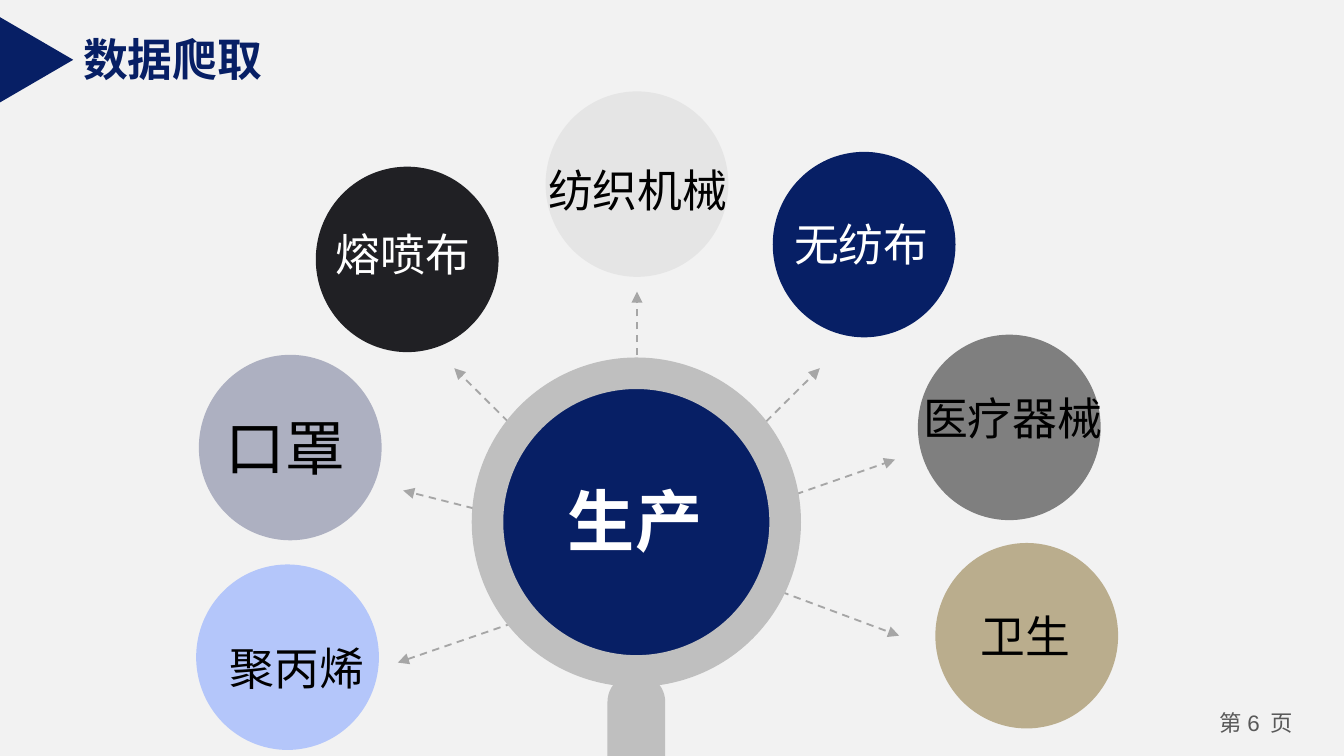
from lxml.etree import SubElement
from pptx import Presentation
from pptx.dml.color import RGBColor
from pptx.enum.dml import MSO_LINE as Dash
from pptx.enum.shapes import MSO_CONNECTOR as Link, MSO_SHAPE as Kind
from pptx.enum.text import MSO_ANCHOR as Anchor, PP_ALIGN as Align
from pptx.oxml.ns import qn
from pptx.util import Inches, Pt

NAVY, SILVER, PALE, DASH = "071F65", "BFBFBF", "F2F2F2", "A6A6A6"
WHITE, BLACK, GREY = "FFFFFF", "000000", "595959"
HAN = "Noto Sans CJK SC"
DISC = (1.36, 1.38)
HUB = (4.74, 4.09)
RIM, HOLE = 2.45, 1.98

# text, size, colour, label box, disc corner, disc fill
TOPICS = [
    ("聚丙烯", 24, BLACK, (1.61, 4.72, 1.21, 0.5), (1.46, 4.2), "B4C6FA"),
    ("卫生", 24, BLACK, (7.2, 4.48, 0.88, 0.5), (6.96, 4.04), "BAAD8D"),
    ("纺织机械", 24, BLACK, (3.98, 1.16, 1.55, 0.5), (4.06, 0.68), "E5E5E5"),
    ("医疗器械", 24, BLACK, (6.77, 2.86, 1.55, 0.5), (6.83, 2.49), "7F7F7F"),
    ("口罩", 32, BLACK, (1.58, 3.01, 1.1, 0.64), (1.48, 2.64), "ADB0C1"),
    ("熔喷布", 24, WHITE, (2.4, 1.64, 1.21, 0.5), (2.35, 1.24), "202024"),
    ("无纺布", 24, WHITE, (5.81, 1.56, 1.21, 0.5), (5.75, 1.13), NAVY),
]
RAYS = [
    ((4.91, 4.26), (2.96, 4.93)),
    ((4.73, 4), (6.69, 4.73)),
    (HUB, (3, 3.65)),
    (HUB, (6.66, 3.42)),
    (HUB, (4.74, 2.17)),
    (HUB, (3.38, 2.74)),
    (HUB, (6.1, 2.74)),
]


def rgb(code):
    return RGBColor.from_string(code)


def add_form(slide, kind, box, fill, adj=None, turn=0):
    form = slide.shapes.add_shape(kind, *map(Inches, box))
    form.shadow.inherit = False
    form.fill.solid()
    form.fill.fore_color.rgb = rgb(fill)
    form.line.fill.background()
    form.rotation = turn
    if adj is not None:
        form.adjustments[0] = adj


def set_font(font, size, color, bold=False, name="Arial"):
    font.size, font.bold, font.name = Pt(size), bold, name
    font.color.rgb = rgb(color)


def set_han(run):
    """Name the East Asian typeface of a run."""
    SubElement(run._r.get_or_add_rPr(), qn("a:ea"), typeface=HAN)


def add_label(slide, box, parts, size, color, bold=False, name="Arial",
              align=Align.LEFT, wrap=False):
    frame = slide.shapes.add_textbox(*map(Inches, box)).text_frame
    frame.word_wrap = wrap
    frame.vertical_anchor = Anchor.TOP
    para = frame.paragraphs[0]
    para.alignment = align
    set_font(para.font, size, color, bold, name)
    for part in parts:
        run = para.add_run()
        run.text = part
        set_han(run)
    return frame


def add_ray(slide, start, end):
    ray = slide.shapes.add_connector(
        Link.STRAIGHT, *map(Inches, start + end))
    ray.line.color.rgb = rgb(DASH)
    ray.line.width = Pt(1)
    ray.line.dash_style = Dash.DASH
    SubElement(ray.line._get_or_add_ln(), qn("a:tailEnd"), type="triangle")
    SubElement(ray._element.spPr, qn("a:effectLst"))


def add_lens(slide):
    """Draw the magnifying glass with its word."""
    add_form(slide, Kind.OVAL, (3.71, 2.86, 2.05, 2.05), NAVY)
    # the disc under the rim hides the ray starts
    add_form(slide, Kind.DONUT, (3.51, 2.66, RIM, RIM), SILVER,
             (RIM - HOLE) / 2 / RIM)
    add_form(slide, Kind.ROUNDED_RECTANGLE, (4.52, 5.01, 0.43, 1.5),
             SILVER, 0.5)
    add_label(slide, (4.08, 3.52, 1.29, 0.71), ["生产"], 36, WHITE, True,
              HAN, Align.CENTER, True)


def add_page(slide):
    frame = add_label(slide, (8.9, 5.24, 0.9, 0.3), ["第 ", "6 ", " 页"],
                      12, GREY, name=HAN, align=Align.CENTER, wrap=True)
    frame.margin_left = frame.margin_right = Inches(0.07)
    frame.margin_top = frame.margin_bottom = Inches(0.04)
    frame.paragraphs[0].runs[1].font.name = "Arial"


def main():
    deck = Presentation()
    deck.slide_width, deck.slide_height = Inches(10), Inches(10 * 9 / 16)
    slide = deck.slides.add_slide(deck.slide_layouts[6])
    slide.background.fill.solid()
    slide.background.fill.fore_color.rgb = rgb(PALE)

    add_page(slide)
    add_label(slide, (0.52, 0.19, 1.55, 0.5), ["数据爬取"], 24, NAVY, True)
    add_form(slide, Kind.ISOSCELES_TRIANGLE, (-0.05, 0.17, 0.64, 0.55),
             NAVY, turn=90)
    for start, end in RAYS:
        add_ray(slide, start, end)
    add_lens(slide)
    for text, size, color, box, corner, fill in TOPICS:
        add_form(slide, Kind.OVAL, corner + DISC, fill)
        add_label(slide, box, [text], size, color)
    deck.save("out.pptx")


if __name__ == "__main__":
    main()
